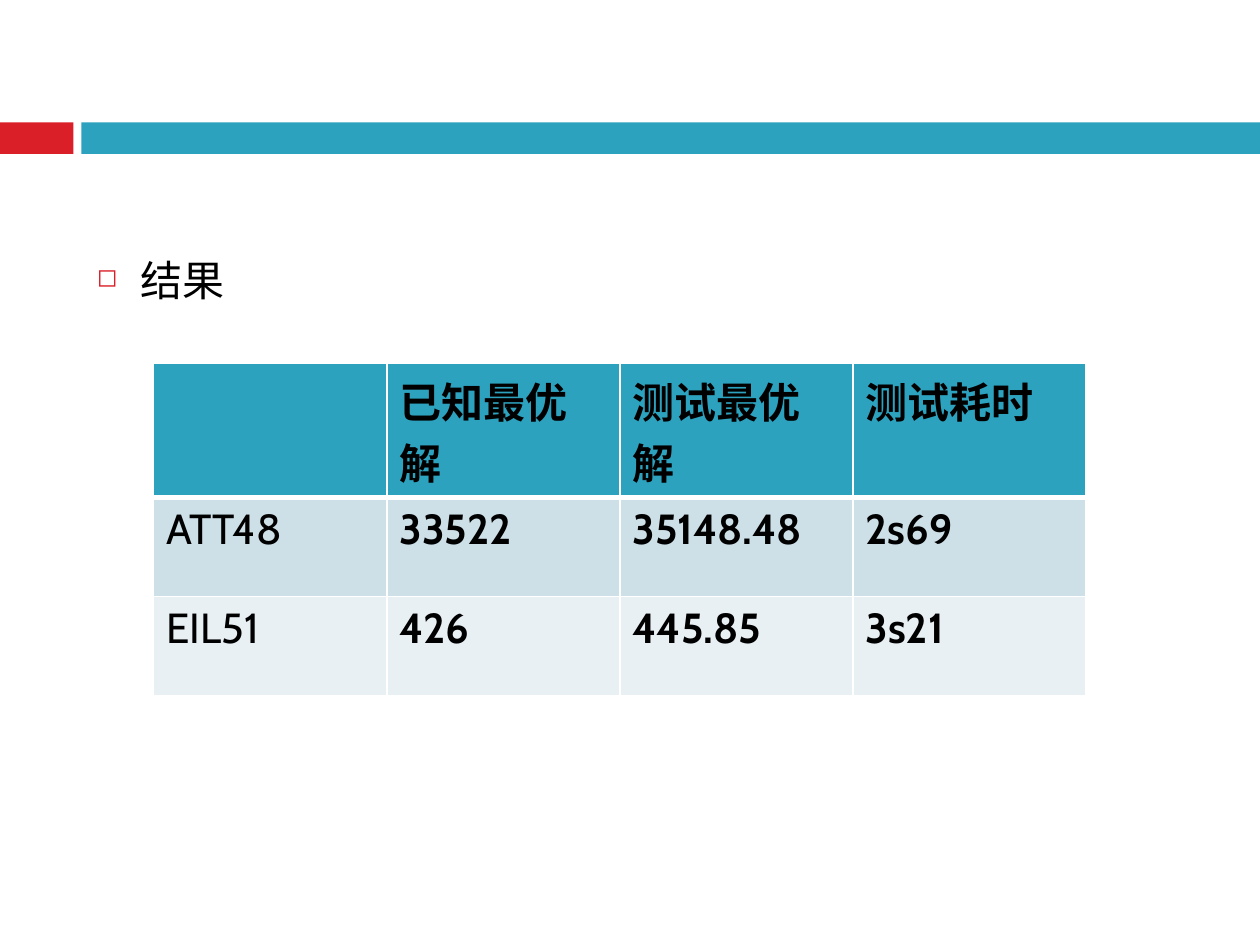
from lxml import etree
from pptx import Presentation
from pptx.dml.color import RGBColor
from pptx.enum.shapes import MSO_SHAPE
from pptx.oxml import parse_xml
from pptx.oxml.ns import nsdecls, qn
from pptx.util import Pt

RED = RGBColor(0xDA, 0x1F, 0x28)
TEAL = RGBColor(0x2D, 0xA2, 0xBF)
LIGHT_BLUE = RGBColor(0xCD, 0xE0, 0xE8)
PALE_BLUE = RGBColor(0xE8, 0xF0, 0xF4)
WHITE = RGBColor(0xFF, 0xFF, 0xFF)
BLACK = RGBColor(0x00, 0x00, 0x00)

TEXT_FORMAT = {"name": "Cabin", "size": Pt(24)}


def add_text(paragraph, text, bold=False):
    run = paragraph.add_run()
    run.text = text
    for name, value in {**TEXT_FORMAT, "bold": bold}.items():
        setattr(run.font, name, value)
    run.font.color.rgb = BLACK


def add_border(cell, side, width):
    """Draw a white border; side is L, R, T or B, and calls follow that order."""
    cell._tc.get_or_add_tcPr().append(parse_xml(
        f'<a:ln{side} {nsdecls("a")} w="{Pt(width)}"><a:solidFill>'
        f'<a:srgbClr val="{WHITE}"/></a:solidFill></a:ln{side}>'))


presentation = Presentation()
presentation.slide_width = Pt(720)
presentation.slide_height = Pt(540)
slide = presentation.slides.add_slide(presentation.slide_layouts[6])

# Band across the top
for left, width, color in [(0, 42, RED), (46.5, 673.5, TEAL)]:
    bar = slide.shapes.add_shape(
        MSO_SHAPE.RECTANGLE, Pt(left), Pt(70), Pt(width), Pt(18))
    bar.shadow.inherit = False
    bar.fill.solid()
    bar.fill.fore_color.rgb = color
    bar.line.fill.background()

# Bulleted heading
body = slide.shapes.add_textbox(Pt(48.24), Pt(141.84), Pt(642.24), Pt(344.16))
body.text_frame.word_wrap = True
paragraph = body.text_frame.paragraphs[0]
paragraph.space_before = Pt(7)
add_text(paragraph, "结果")
properties = paragraph._p.get_or_add_pPr()
properties.set("marL", str(Pt(25.2)))
properties.set("indent", str(-Pt(25.2)))
bullet_color = etree.SubElement(properties, qn("a:buClr"))
etree.SubElement(bullet_color, qn("a:srgbClr"), val=str(RED))
etree.SubElement(properties, qn("a:buSzPct"), val="60000")
etree.SubElement(properties, qn("a:buChar"), char="◻")

# Results table; the header is tall enough for titles on two lines
ROWS = [
    (76.4, TEAL, ["", "已知最优解", "测试最优解", "测试耗时"]),
    (56.88, LIGHT_BLUE, ["ATT48", "33522", "35148.48", "2s69"]),
    (56.88, PALE_BLUE, ["EIL51", "426", "445.85", "3s21"]),
]
COLUMN_WIDTH = 133.2
table_height = sum(height for height, _, _ in ROWS)
table = slide.shapes.add_table(
    len(ROWS), 4, Pt(87.84), Pt(207.72),
    Pt(4 * COLUMN_WIDTH), Pt(table_height)).table
for column in table.columns:
    column.width = Pt(COLUMN_WIDTH)

for row_index, (height, color, texts) in enumerate(ROWS):
    table.rows[row_index].height = Pt(height)
    border_widths = {"L": 1, "R": 1,
                     "T": 3 if row_index == 1 else 1,
                     "B": 3 if row_index == 0 else 1}
    for column_index, text in enumerate(texts):
        cell = table.cell(row_index, column_index)
        for side, width in border_widths.items():
            add_border(cell, side, width)
        cell.fill.solid()
        cell.fill.fore_color.rgb = color
        if text:
            add_text(cell.text_frame.paragraphs[0], text, bold=column_index > 0)

presentation.save("out.pptx")
